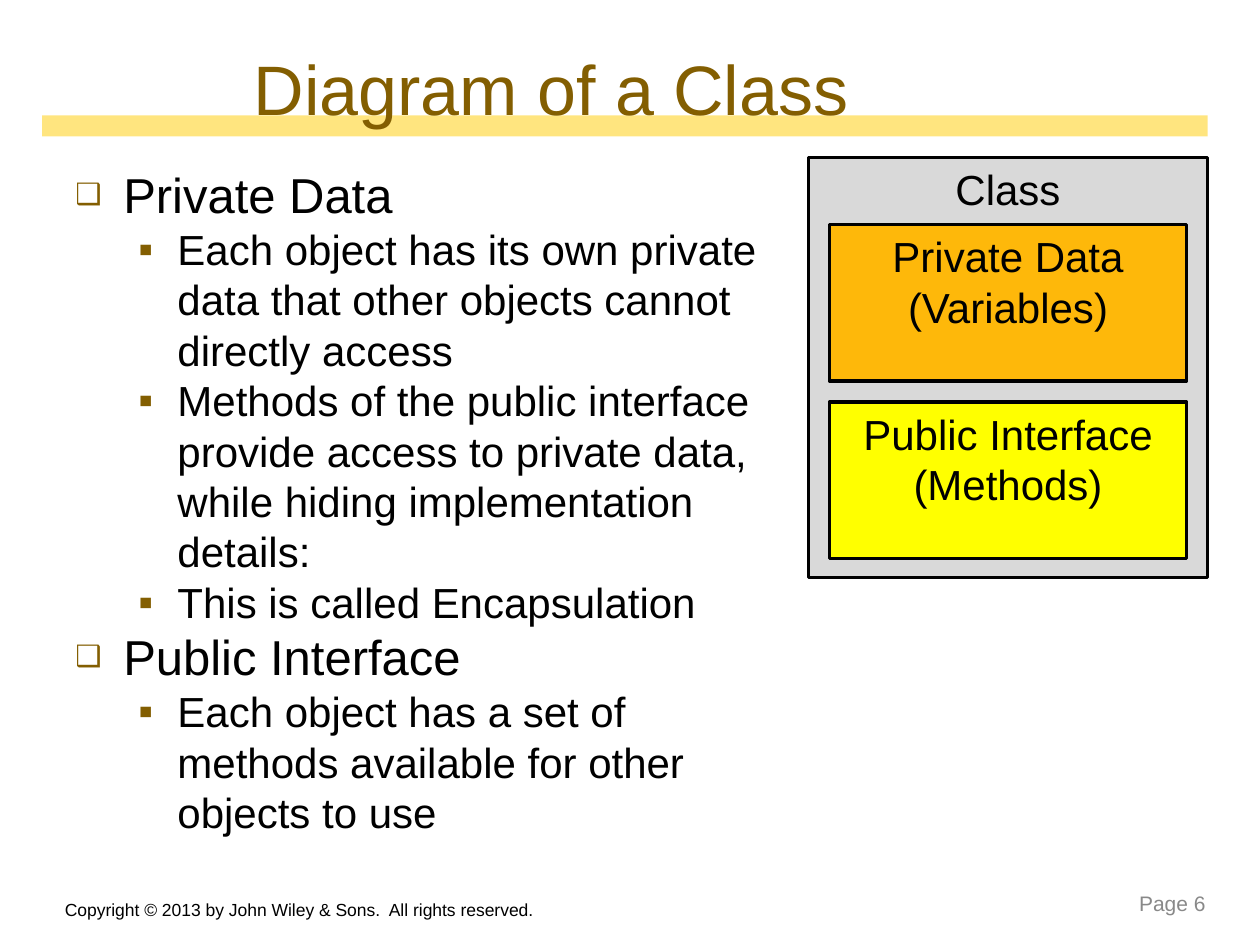
import pptx
import pptx.util
import pptx.dml.color
import pptx.enum.shapes
import pptx.enum.text
import pptx.oxml
import pptx.oxml.ns

RGBColor = pptx.dml.color.RGBColor
Align = pptx.enum.text.PP_ALIGN
Anchor = pptx.enum.text.MSO_ANCHOR
Shape = pptx.enum.shapes.MSO_SHAPE

BROWN = RGBColor(0x83, 0x5E, 0x01)
GOLD = RGBColor(0xFF, 0xCC, 0x00)
BLACK = RGBColor(0x00, 0x00, 0x00)
GREY = RGBColor(0x89, 0x89, 0x89)
LIGHT_GREY = RGBColor(0xD9, 0xD9, 0xD9)
ORANGE = RGBColor(0xFE, 0xB8, 0x0A)
YELLOW = RGBColor(0xFF, 0xFF, 0x00)

# Bullet levels: character, bullet size %, left margin, hanging indent, text size
LEVELS = [("❑", 60, 0.38, 0.38, 28), ("▪", 100, 0.81, 0.31, 24)]


class ClassSlide:
    """Places elements on a grid of 120 columns by 90 rows."""

    font = "Arial"
    columns, rows = 120, 90

    def __init__(self, deck):
        self.slide = deck.slides.add_slide(deck.slide_layouts[6])
        self.column = deck.slide_width / self.columns
        self.row = deck.slide_height / self.rows

    def place(self, left, top, width, height):
        return [int(left * self.column), int(top * self.row),
                int(width * self.column), int(height * self.row)]

    def style(self, paragraph, size, color, align=Align.LEFT):
        paragraph.alignment = align
        formats = {"name": self.font, "size": pptx.util.Pt(size)}
        for attribute, value in formats.items():
            setattr(paragraph.font, attribute, value)
        paragraph.font.color.rgb = color

    def set_lines(self, frame, lines, size, color, align=Align.LEFT, anchor=Anchor.TOP):
        frame.word_wrap = True
        frame.vertical_anchor = anchor
        for number, line in enumerate(lines):
            paragraph = frame.add_paragraph() if number else frame.paragraphs[0]
            paragraph.text = line
            self.style(paragraph, size, color, align)

    def text(self, area, line, size, color, **layout):
        box = self.slide.shapes.add_textbox(*self.place(*area))
        self.set_lines(box.text_frame, [line], size, color, **layout)

    def outline(self, area, entries):
        frame = self.slide.shapes.add_textbox(*self.place(*area)).text_frame
        frame.word_wrap = True
        for number, (level, line) in enumerate(entries):
            paragraph = frame.add_paragraph() if number else frame.paragraphs[0]
            paragraph.text = line
            paragraph.level = level
            self.bullet(paragraph, *LEVELS[level][:4])
            self.style(paragraph, LEVELS[level][4], BLACK)

    def bullet(self, paragraph, character, percent, margin, hanging):
        properties = paragraph._p.get_or_add_pPr()
        properties.set("marL", str(pptx.util.Inches(margin)))
        properties.set("indent", str(-pptx.util.Inches(hanging)))
        namespace = pptx.oxml.ns.nsdecls("a")
        for element in (f'<a:buClr {namespace}><a:srgbClr val="{BROWN}"/></a:buClr>',
                        f'<a:buSzPct {namespace} val="{percent * 1000}"/>',
                        f'<a:buFont {namespace} typeface="{self.font}"/>',
                        f'<a:buChar {namespace} char="{character}"/>'):
            properties.append(pptx.oxml.parse_xml(element))

    def band(self, area, color, opacity):
        band = self.slide.shapes.add_shape(Shape.PARALLELOGRAM, *self.place(*area))
        band.adjustments[0] = -0.13
        band.shadow.inherit = False
        band.fill.solid()
        band.fill.fore_color.rgb = color
        band.line.fill.background()
        fill_color = band._element.spPr.find(".//" + pptx.oxml.ns.qn("a:srgbClr"))
        fill_color.append(pptx.oxml.parse_xml(
            f'<a:alpha {pptx.oxml.ns.nsdecls("a")} val="{opacity * 1000}"/>'))

    def diagram(self, boxes):
        group = self.slide.shapes.add_group_shape()
        for area, color, lines in boxes:
            box = group.shapes.add_shape(Shape.RECTANGLE, *self.place(*area))
            box.shadow.inherit = False
            box.fill.solid()
            box.fill.fore_color.rgb = color
            box.line.color.rgb = BLACK
            box.line.width = pptx.util.Pt(2)
            self.set_lines(box.text_frame, lines, 24, BLACK, align=Align.CENTER)


def main():
    deck = pptx.Presentation()
    deck.slide_width = pptx.util.Inches(10)
    deck.slide_height = pptx.util.Inches(7.5)
    page = ClassSlide(deck)

    # Heading over its highlight band
    page.band((4, 11, 111, 2), GOLD, 50)
    page.text((23, 3.6, 93, 9.4), "Diagram of a Class", 40, BROWN, anchor=Anchor.MIDDLE)

    # Explanation
    page.outline((6, 15.1, 69, 66.8), [
        (0, "Private Data"),
        (1, "Each object has its own private data that other objects cannot directly access"),
        (1, "Methods of the public interface provide access to private data, "
            "while hiding implementation details:"),
        (1, "This is called Encapsulation"),
        (0, "Public Interface"),
        (1, "Each object has a set of methods available for other objects to use"),
    ])

    # Footer
    page.text((5, 85, 53, 3.3), "Copyright © 2013 by John Wiley & Sons.  All rights reserved.",
              10, BLACK)
    page.text((95, 84, 21, 4), "Page 6", 12, GREY, align=Align.RIGHT, anchor=Anchor.MIDDLE)

    # Class with its two parts
    part_left, part_top, part_width, part_height, part_step = 79, 21.4, 34, 14.9, 16.9
    parts = [(ORANGE, ["Private Data", "(Variables)"]),
             (YELLOW, ["Public Interface", "(Methods)"])]
    page.diagram([((77, 15, 38, 40), LIGHT_GREY, ["Class"])] + [
        ((part_left, part_top + index * part_step, part_width, part_height), color, lines)
        for index, (color, lines) in enumerate(parts)])

    deck.save("out.pptx")


if __name__ == "__main__":
    main()
